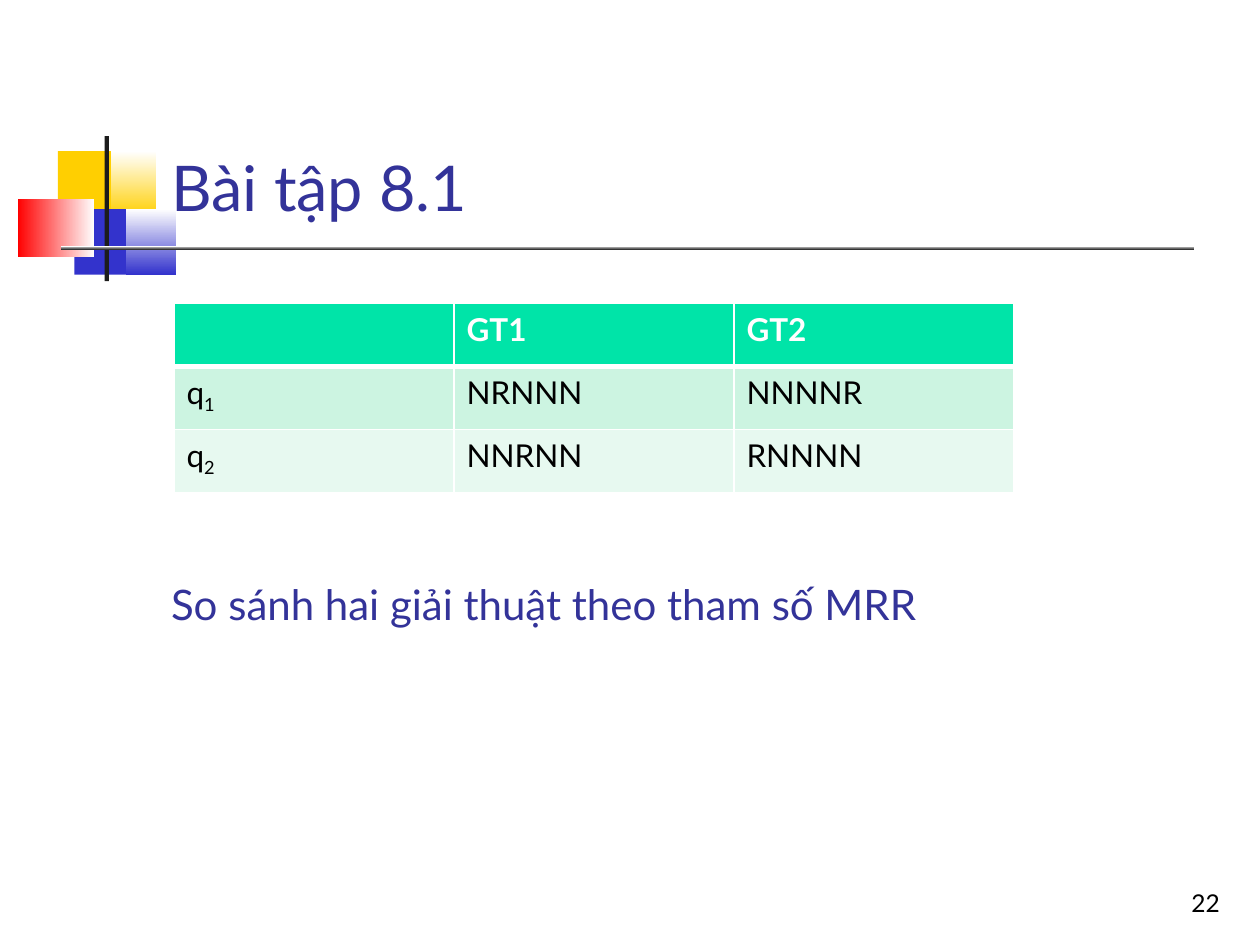
"""Build the exercise slide comparing two algorithms by MRR."""
from lxml import etree
from pptx import Presentation
from pptx.dml.color import RGBColor
from pptx.enum.shapes import MSO_SHAPE
from pptx.enum.text import MSO_ANCHOR, PP_ALIGN
from pptx.oxml.ns import qn
from pptx.util import Pt

RECTANGLE = MSO_SHAPE.RECTANGLE
TOP, BOTTOM = MSO_ANCHOR.TOP, MSO_ANCHOR.BOTTOM
LEFT, RIGHT = PP_ALIGN.LEFT, PP_ALIGN.RIGHT
WHITE = RGBColor(0xFF, 0xFF, 0xFF)
BLACK = RGBColor(0, 0, 0)
YELLOW = RGBColor(0xFF, 0xCF, 0x01)
BLUE = RGBColor(0x33, 0x33, 0xCC)
RED = RGBColor(0xFF, 0, 0)
CHARCOAL = RGBColor(0x1C, 0x1C, 0x1C)
INDIGO = RGBColor(0x33, 0x33, 0x99)
HEADER_GREEN = RGBColor(0x00, 0xE4, 0xA8)
ROW_GREENS = [HEADER_GREEN, RGBColor(0xCC, 0xF4, 0xE1), RGBColor(0xE7, 0xF9, 0xF0)]


def write_text(holder, text, size, color, anchor, align):
    frame = holder.text_frame
    frame.text = text
    frame.word_wrap = True
    frame.vertical_anchor = anchor
    paragraph = frame.paragraphs[0]
    paragraph.alignment = align
    font_format = {"name": "Lato", "size": Pt(size)}
    for attribute, value in font_format.items():
        setattr(paragraph.runs[0].font, attribute, value)
    paragraph.runs[0].font.color.rgb = color


def add_border(cell, side, width):
    line = etree.SubElement(cell._tc.get_or_add_tcPr(), qn(f"a:{side}"), w=str(Pt(width)))
    fill = etree.SubElement(line, qn("a:solidFill"))
    etree.SubElement(fill, qn("a:srgbClr"), val=str(WHITE))


deck = Presentation()
deck.slide_width, deck.slide_height = Pt(720), Pt(540)
slide = deck.slides.add_slide(deck.slide_layouts[5])
shapes = slide.shapes

ornaments = [
    (33.1, 86.4, 34.6, 37.4, [YELLOW], None),
    (63.4, 86.4, 25.9, 37.4, [YELLOW, WHITE], 90),
    (42.5, 119.5, 33.1, 37.4, [BLUE], None),
    (72, 119.5, 28.8, 37.4, [BLUE, WHITE], 90),
    (10.1, 113.8, 43.9, 33.1, [WHITE, RED], 180),
    (59.8, 77.8, 2.5, 82.8, [CHARCOAL], None),
    (34.6, 140.4, 648, 2.5, [CHARCOAL, WHITE], 90),
]
for left, top, width, height, colors, angle in ornaments:
    ornament = shapes.add_shape(RECTANGLE, Pt(left), Pt(top), Pt(width), Pt(height))
    ornament.shadow.inherit = False
    ornament.line.fill.background()
    if angle is None:
        ornament.fill.solid()
        ornament.fill.fore_color.rgb = colors[0]
    else:
        ornament.fill.gradient()
        ornament.fill.gradient_angle = angle
        for stop, color in zip(ornament.fill.gradient_stops, colors):
            stop.color.rgb = color

title = shapes.title
title_box = {"left": Pt(90.7), "top": Pt(16.6), "width": Pt(613.4), "height": Pt(115.2)}
for attribute, value in title_box.items():
    setattr(title, attribute, value)
write_text(title, "Bài tập 8.1", 36, INDIGO, BOTTOM, LEFT)
shapes._spTree.append(title._element)

page_number = shapes.add_textbox(Pt(554.4), Pt(491.8), Pt(149.8), Pt(36))
write_text(page_number, "22", 14, BLACK, BOTTOM, RIGHT)

results = [
    ["", "GT1", "GT2"],
    ["q1", "NRNNN", "NNNNR"],
    ["q2", "NNRNN", "RNNNN"],
]
table = shapes.add_table(3, 3, Pt(99.4), Pt(173.5), Pt(480), Pt(108)).table
for row_index, row in enumerate(results):
    table.rows[row_index].height = Pt(36)
    for column_index, text in enumerate(row):
        cell = table.cell(row_index, column_index)
        add_border(cell, "lnL", 0.96)
        add_border(cell, "lnR", 0.96)
        add_border(cell, "lnT", 3 if row_index == 1 else 0.96)
        add_border(cell, "lnB", 3 if row_index == 0 else 0.96)
        cell.fill.solid()
        cell.fill.fore_color.rgb = ROW_GREENS[row_index]
        paragraph = cell.text_frame.paragraphs[0]
        paragraph.space_after = Pt(12)
        is_query = row_index > 0 and column_index == 0
        parts = list(text) if is_query else [text] if text else []
        for part in parts:
            run = paragraph.add_run()
            run.text = part
            cell_font = {"name": "Lato", "size": Pt(18), "bold": row_index == 0}
            for attribute, value in cell_font.items():
                setattr(run.font, attribute, value)
            run.font.color.rgb = BLACK if row_index else WHITE
            if part.isdigit():
                run._r.get_or_add_rPr().set("baseline", "-25000")

question = shapes.add_textbox(Pt(90.7), Pt(326.9), Pt(463.7), Pt(64.8))
write_text(question, "So sánh hai giải thuật theo tham số MRR", 24, INDIGO, TOP, LEFT)

deck.save("out.pptx")
